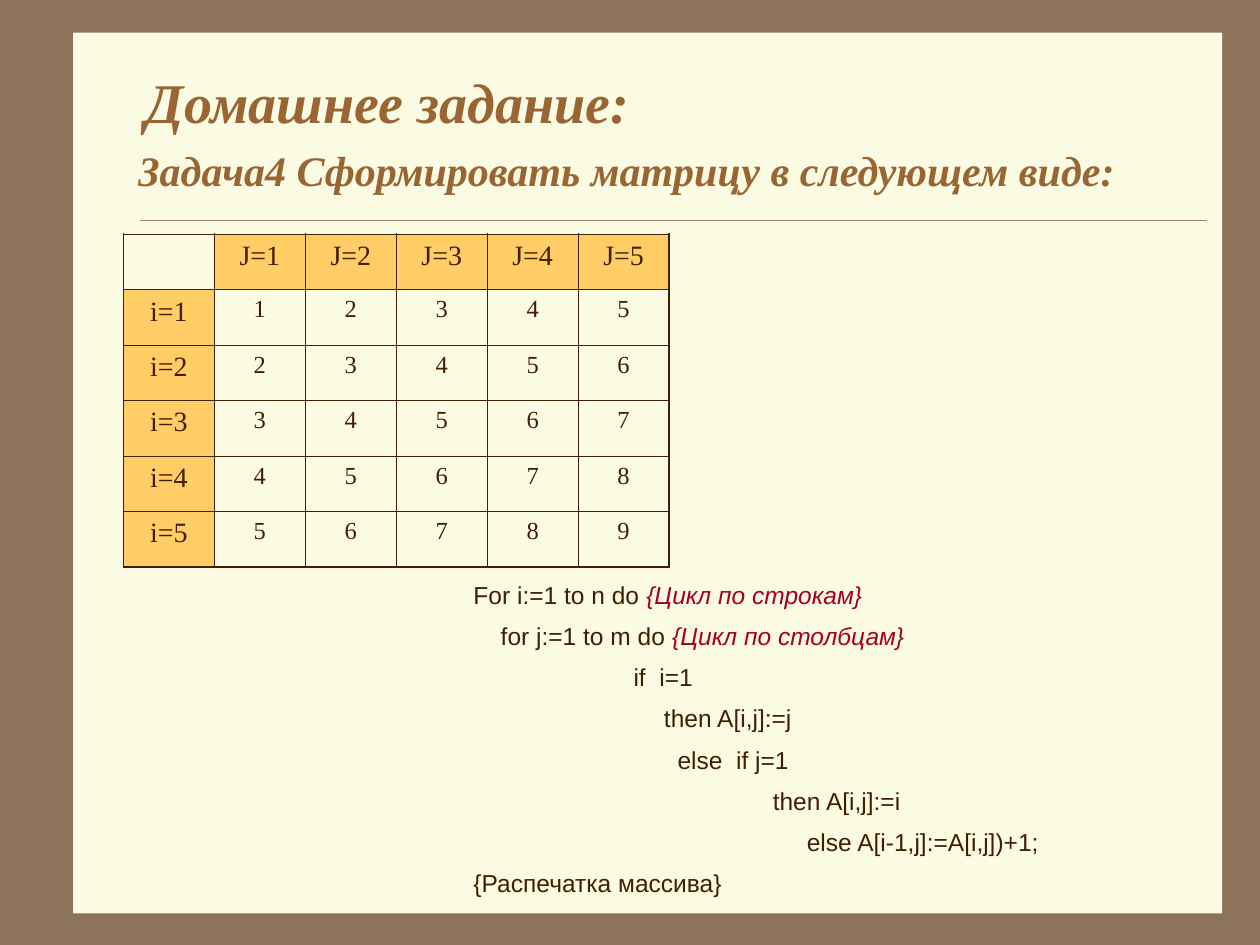
import pptx
import pptx.util
import pptx.dml.color
import pptx.enum.shapes
import pptx.enum.text
import pptx.oxml.ns
import lxml.etree

Inches = pptx.util.Inches
Pt = pptx.util.Pt
RGBColor = pptx.dml.color.RGBColor
ALIGN = pptx.enum.text.PP_ALIGN
ANCHOR = pptx.enum.text.MSO_ANCHOR
qn = pptx.oxml.ns.qn

BROWN = RGBColor(0x8C, 0x73, 0x5A)
CREAM = RGBColor(0xFB, 0xFA, 0xE2)
RULE = RGBColor(0xA0, 0x83, 0x66)
TITLE = RGBColor(0x99, 0x66, 0x33)
DARK = RGBColor(0x40, 0x20, 0x00)
GOLD = RGBColor(0xFF, 0xCC, 0x66)
RED = RGBColor(0xA5, 0x00, 0x21)

SERIF = "Times New Roman"
HEAD = {"name": SERIF, "bold": True, "italic": True}
CODE = {"name": "Arial", "size": Pt(14)}
NOTE = {**CODE, "italic": True}
LABEL = {"name": SERIF, "size": Pt(16)}
VALUE = {"name": SERIF, "size": Pt(14)}

LINES = [
    ("For i:=1 to n do ", "{Цикл по строкам}"),
    ("    for j:=1 to m do ", "{Цикл по столбцам}"),
    ("        \t     if  i=1", ""),
    (" " * 28 + "then A[i,j]:=j", ""),
    (" " * 30 + "else  if j=1", ""),
    (" " * 44 + "then A[i,j]:=i", ""),
    (" " * 49 + "else A[i-1,j]:=A[i,j])+1;", ""),
    ("{Распечатка массива}", ""),
]


def format(item, values):
    for key, value in values.items():
        setattr(item, key, value)


def add_run(para, text, font, color):
    run = para.add_run()
    run.text = text
    format(run.font, font)
    run.font.color.rgb = color


def add_frame(slide, box, rule):
    panel = slide.shapes.add_shape(
        pptx.enum.shapes.MSO_SHAPE.RECTANGLE, *map(Inches, box))
    panel.shadow.inherit = False
    panel.fill.solid()
    panel.fill.fore_color.rgb = CREAM
    panel.line.fill.background()
    line = slide.shapes.add_connector(
        pptx.enum.shapes.MSO_CONNECTOR.STRAIGHT, *map(Inches, rule))
    line.line.color.rgb = RULE
    line.line.width = Pt(0.25)
    lxml.etree.SubElement(line._element.spPr, qn("a:effectLst"))


def add_head(slide, box, text, size):
    frame = slide.shapes.add_textbox(*map(Inches, box)).text_frame
    format(frame, {"word_wrap": True, "vertical_anchor": ANCHOR.MIDDLE})
    add_run(frame.paragraphs[0], text, {**HEAD, "size": Pt(size)}, TITLE)


def add_edge(cell, side, width):
    props = cell._tc.get_or_add_tcPr()
    edge = lxml.etree.SubElement(props, qn("a:ln" + side), w=str(Pt(width)))
    fill = lxml.etree.SubElement(edge, qn("a:solidFill"))
    lxml.etree.SubElement(fill, qn("a:srgbClr"), val=str(DARK))


def add_matrix(slide, box, count):
    last = count
    table = slide.shapes.add_table(
        count + 1, count + 1, *map(Inches, box)).table
    format(table, {"first_row": False, "horz_banding": False})
    for row in range(count + 1):
        for col in range(count + 1):
            cell = table.cell(row, col)
            outer = {"L": col == 0, "R": col == last,
                     "T": row == 0, "B": row == last}
            for side, thick in outer.items():
                add_edge(cell, side, 1.08 if thick else 0.45)
            label = (row == 0) != (col == 0)
            if label:
                cell.fill.solid()
                cell.fill.fore_color.rgb = GOLD
            else:
                cell.fill.background()
            if row == col == 0:
                continue
            if row == 0:
                text = f"J={col}"
            elif col == 0:
                text = f"i={row}"
            else:
                text = str(row + col - 1)
            para = cell.text_frame.paragraphs[0]
            para.alignment = ALIGN.CENTER
            add_run(para, text, LABEL if label else VALUE, DARK)


def add_code(slide, box):
    frame = slide.shapes.add_textbox(*map(Inches, box)).text_frame
    frame.word_wrap = True
    for index, (code, note) in enumerate(LINES):
        para = frame.add_paragraph() if index else frame.paragraphs[0]
        para.line_spacing = 1.4
        if "\t" in code:
            tabs = lxml.etree.SubElement(
                para._p.get_or_add_pPr(), qn("a:tabLst"))
            lxml.etree.SubElement(
                tabs, qn("a:tab"), pos=str(Inches(1)), algn="l")
        add_run(para, code, CODE, DARK)
        if note:
            add_run(para, note, NOTE, RED)


def main():
    deck = pptx.Presentation()
    format(deck, {"slide_width": Inches(10), "slide_height": Inches(7.5)})
    slide = deck.slides.add_slide(deck.slide_layouts[6])
    slide.background.fill.solid()
    slide.background.fill.fore_color.rgb = BROWN
    add_frame(slide, (0.58, 0.26, 9.12, 6.99), (1.11, 1.75, 9.58, 1.75))
    add_head(slide, (1.06, 0.44, 8.5, 0.73), "Домашнее задание:", 32)
    add_head(slide, (1, 0.99, 9, 0.71),
             "Задача4 Сформировать матрицу в следующем виде:", 24)
    add_matrix(slide, (0.98, 1.86, 4.33, 2.64), 5)
    add_code(slide, (3.66, 4.46, 4.8, 2.72))
    deck.save("out.pptx")


if __name__ == "__main__":
    main()
